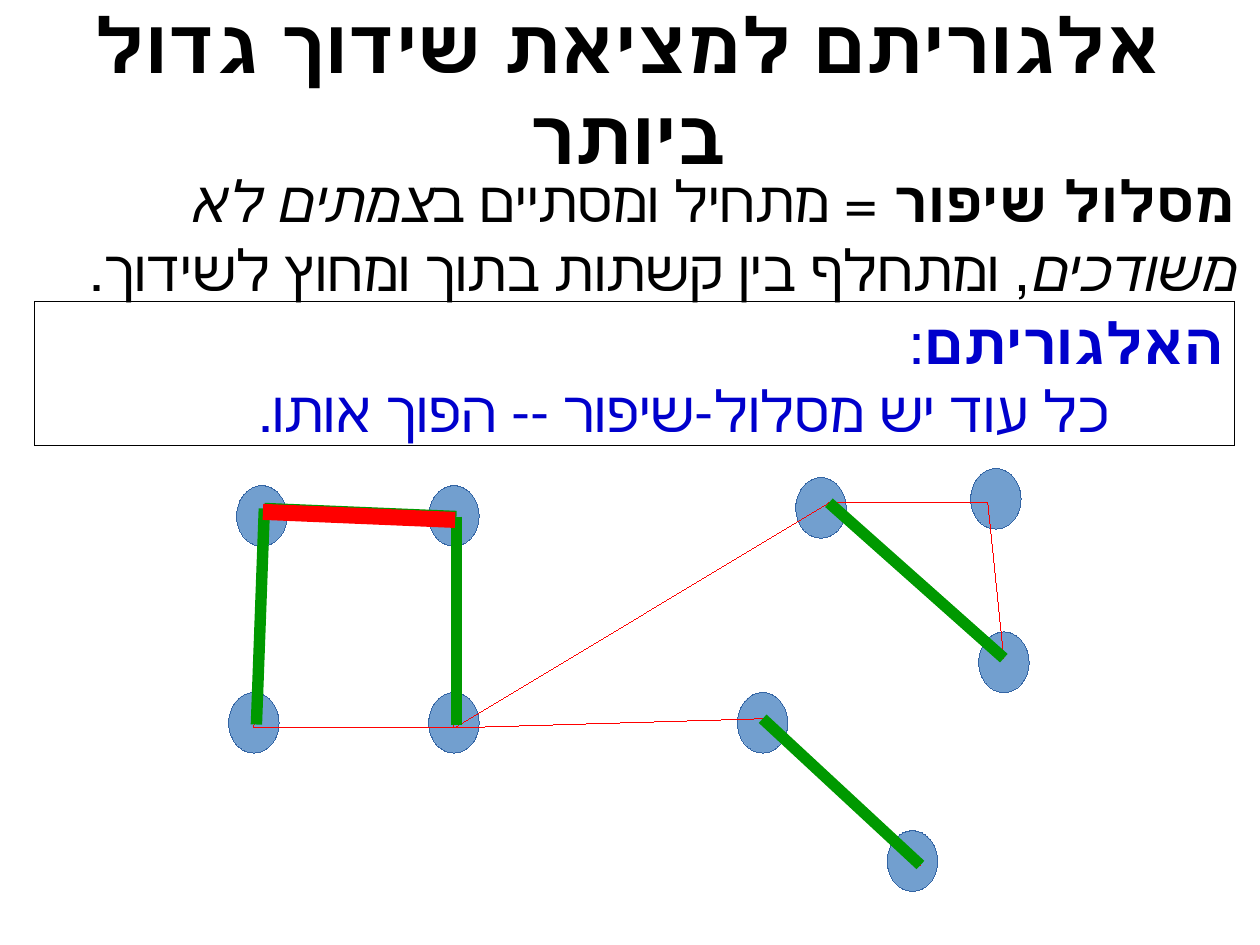
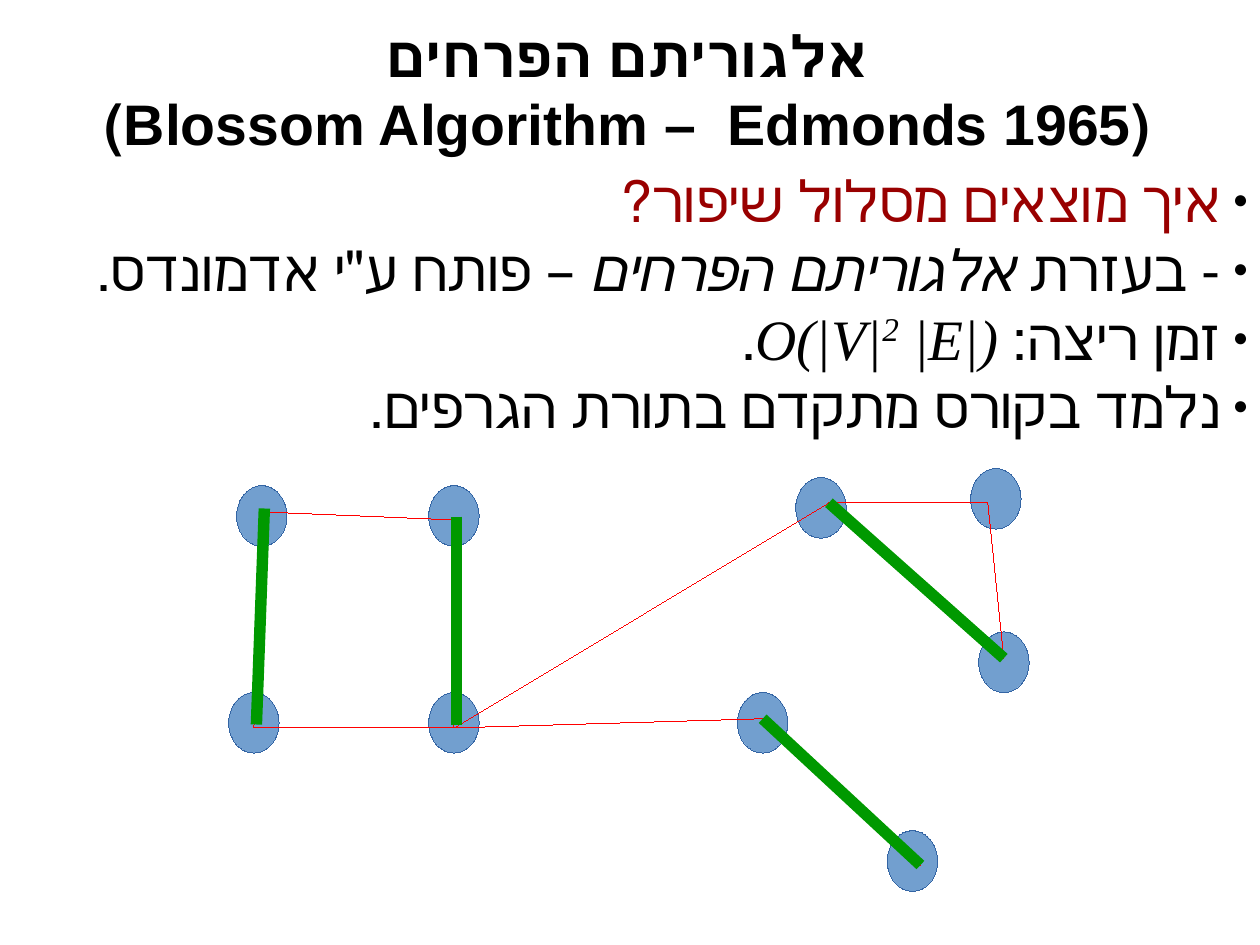
from dataclasses import dataclass
from lxml.etree import SubElement
from pptx import Presentation
from pptx.dml.color import RGBColor
from pptx.enum.shapes import MSO_CONNECTOR, MSO_SHAPE
from pptx.enum.text import MSO_ANCHOR, MSO_AUTO_SIZE, PP_ALIGN
from pptx.oxml.ns import qn
from pptx.util import Cm, Emu, Inches, Pt


@dataclass(frozen=True)
class Theme:
    black: str = "000000"
    blue: str = "0000CC"
    dark_red: str = "990000"
    node: str = "729FCF"
    node_line: str = "3465A4"
    red: str = "FF0000"
    green: str = "009900"
    font: str = "Arial"
    math_font: str = "Times New Roman"
    title_size: int = 48
    text_size: int = 36
    line_pitch: float = 1.2
    hairline: float = 0.01
    thick: float = 7.2
    thicker: float = 10.09


theme = Theme()
deck = Presentation()
deck.slide_width, deck.slide_height = Cm(28), Cm(21)
deck.element.sldSz.attrib.pop("type", None)


def area(*shares):
    """Turn percentages of slide width and height, in turn, into lengths."""
    sides = (deck.slide_width, deck.slide_height) * 2
    return [Emu(round(side * share / 100)) for side, share in zip(sides, shares)]


def write(box, lines, size=theme.text_size, color=theme.black, align=PP_ALIGN.RIGHT,
          anchor=MSO_ANCHOR.TOP, inset=(0.1, 0.05), indents=(0,), bullet=None):
    """Fill a box with right-to-left lines, each a list of (text, style) spans."""
    frame = box.text_frame
    frame.word_wrap, frame.auto_size = True, MSO_AUTO_SIZE.NONE
    frame.vertical_anchor = anchor
    frame.margin_left = frame.margin_right = Inches(inset[0])
    frame.margin_top = frame.margin_bottom = Inches(inset[1])
    for number, spans in enumerate(lines):
        para = frame.add_paragraph() if number else frame.paragraphs[0]
        para.alignment = align
        para.space_before = para.space_after = Pt(0)
        para.line_spacing = Pt(size * theme.line_pitch)
        indent = Inches(indents[number % len(indents)])
        props = para._p.get_or_add_pPr()
        props.set("rtl", "1")
        props.set("marL", str(indent))
        props.set("indent", str(-indent if bullet else 0))
        if bullet:
            bullet_color = SubElement(props, qn("a:buClr"))
            SubElement(bullet_color, qn("a:srgbClr")).set("val", theme.black)
            SubElement(props, qn("a:buSzPct")).set("val", "45000")
            SubElement(props, qn("a:buChar")).set("char", bullet)
        else:
            SubElement(props, qn("a:buNone"))
        for text, style in spans:
            if text == "\n":
                para.add_line_break()
                continue
            span = para.add_run()
            span.text = text
            font = span.font
            font.name = style.get("font", theme.font)
            font.size = Pt(size)
            font.bold = style.get("bold", False)
            font.italic = style.get("italic", False)
            font.color.rgb = RGBColor.from_string(style.get("color", color))
            if style.get("raised"):
                font._element.set("baseline", "33000")


bold, italic, plain = {"bold": True}, {"italic": True}, {}
formula = {"font": theme.math_font, "italic": True}

# Graph: node corners and edge ends, as shares of the slide
node_size = (4, 6.41)
nodes = [(18.78, 51.39), (34.03, 51.39), (18.15, 73.28), (34.03, 73.28),
         (58.53, 73.28), (77.04, 49.58), (77.68, 66.87), (63.16, 50.54), (70.42, 87.91)]
ends = {"top left": (20.78, 54.17), "top right": (36.03, 55.02),
        "low left": (20.15, 77.03), "low right": (36.03, 77.03),
        "hub": (65.79, 53.2), "peak": (78.4, 53.2), "side": (79.67, 69.65),
        "middle": (60.53, 76.06), "tail": (73.05, 91.54)}
thin_edges = [("top left", "low left"), ("top left", "top right"),
              ("top right", "low right"), ("low left", "low right"),
              ("hub", "side"), ("hub", "peak"), ("peak", "side"),
              ("middle", "tail"), ("low right", "middle"), ("low right", "hub")]
square_shift, no_shift = (0.2, -0.36), (0, 0)

# Strokes: start, end, colour, width, shift
thin = [(*edge, theme.red, theme.hairline, no_shift) for edge in thin_edges]
matching = [("top left", "low left", theme.green, theme.thick, square_shift),
            ("top right", "low right", theme.green, theme.thick, square_shift),
            ("middle", "tail", theme.green, theme.thick, no_shift),
            ("hub", "side", theme.green, theme.thick, no_shift)]
flipped = [("top left", "top right", theme.green, theme.thick, square_shift),
           ("top left", "top right", theme.red, theme.thicker, (0.09, 0))]

# Wording of the two slides
pages = [
    {"title": [[("אלגוריתם למציאת שידוך גדול ביותר", bold)]],
     "title size": theme.title_size,
     "body": [[("מסלול שיפור ", bold), ("= מתחיל ומסתיים ב", plain),
               ("צמתים לא משודכים", italic),
               (", ומתחלף בין קשתות בתוך ומחוץ לשידוך.", plain)]],
     "body area": (0.73, 16.93, 98.18, 15.24),
     "list": {},
     "algorithm": [[("האלגוריתם", bold), (":", plain)],
                   [("כל עוד יש מסלול-שיפור -- הפוך אותו.", plain)]],
     "strokes": thin + matching + flipped},
    {"title": [[("אלגוריתם הפרחים", bold), ("\n", plain),
                ("(Blossom Algorithm –  Edmonds 1965)", bold)]],
     "title size": theme.text_size,
     "body": [[("איך מוצאים מסלול שיפור?", {"color": theme.dark_red})],
              [("- בעזרת ", plain), ("אלגוריתם הפרחים ", italic),
               ("– פותח ע\"י אדמונדס.", plain)],
              [("זמן ריצה: ", plain), ("O(|V|", formula),
               ("2", {**formula, "raised": True}), (" |E|)", formula), (".", plain)],
              [("נלמד בקורס מתקדם בתורת הגרפים.", plain)]],
     "body area": (1.81, 16.93, 98.18, 36.4),
     "list": {"bullet": "●", "indents": (0.24,)},
     "algorithm": None,
     "strokes": thin + matching},
]

for content in pages:
    page = deck.slides.add_slide(deck.slide_layouts[1])

    # Title and body
    title, body = page.shapes.title, page.placeholders[1]
    places = ((title, (0.73, -0.6, 98.18, 19.95)), (body, content["body area"]))
    for holder, shares in places:
        holder.left, holder.top, holder.width, holder.height = area(*shares)
    write(title, content["title"], size=content["title size"],
          align=PP_ALIGN.CENTER, anchor=MSO_ANCHOR.MIDDLE, inset=(0, 0))
    write(body, content["body"], **content["list"])

    # Nodes
    for corner in nodes:
        node = page.shapes.add_shape(MSO_SHAPE.OVAL, *area(*corner, *node_size))
        node.shadow.inherit = False
        node.fill.solid()
        node.fill.fore_color.rgb = RGBColor.from_string(theme.node)
        node.line.color.rgb = RGBColor.from_string(theme.node_line)
        node.line.width = Pt(theme.hairline)

    # Edges, thin ones first
    for start, end, color, width, (right, down) in content["strokes"]:
        points = [(ends[name][0] + right, ends[name][1] + down) for name in (start, end)]
        edge = page.shapes.add_connector(MSO_CONNECTOR.STRAIGHT, *area(*points[0], *points[1]))
        edge.line.color.rgb = RGBColor.from_string(color)
        edge.line.width = Pt(width)
        SubElement(edge._element.spPr, qn("a:effectLst"))

    # Framed algorithm
    if content["algorithm"]:
        panel = page.shapes.add_shape(MSO_SHAPE.RECTANGLE, *area(2.72, 31.92, 95.28, 15.24))
        panel.shadow.inherit = False
        panel.fill.background()
        panel.line.color.rgb = RGBColor.from_string(theme.black)
        panel.line.width = Pt(theme.hairline)
        write(panel, content["algorithm"], color=theme.blue, indents=(0, 1))

deck.save("out.pptx")
